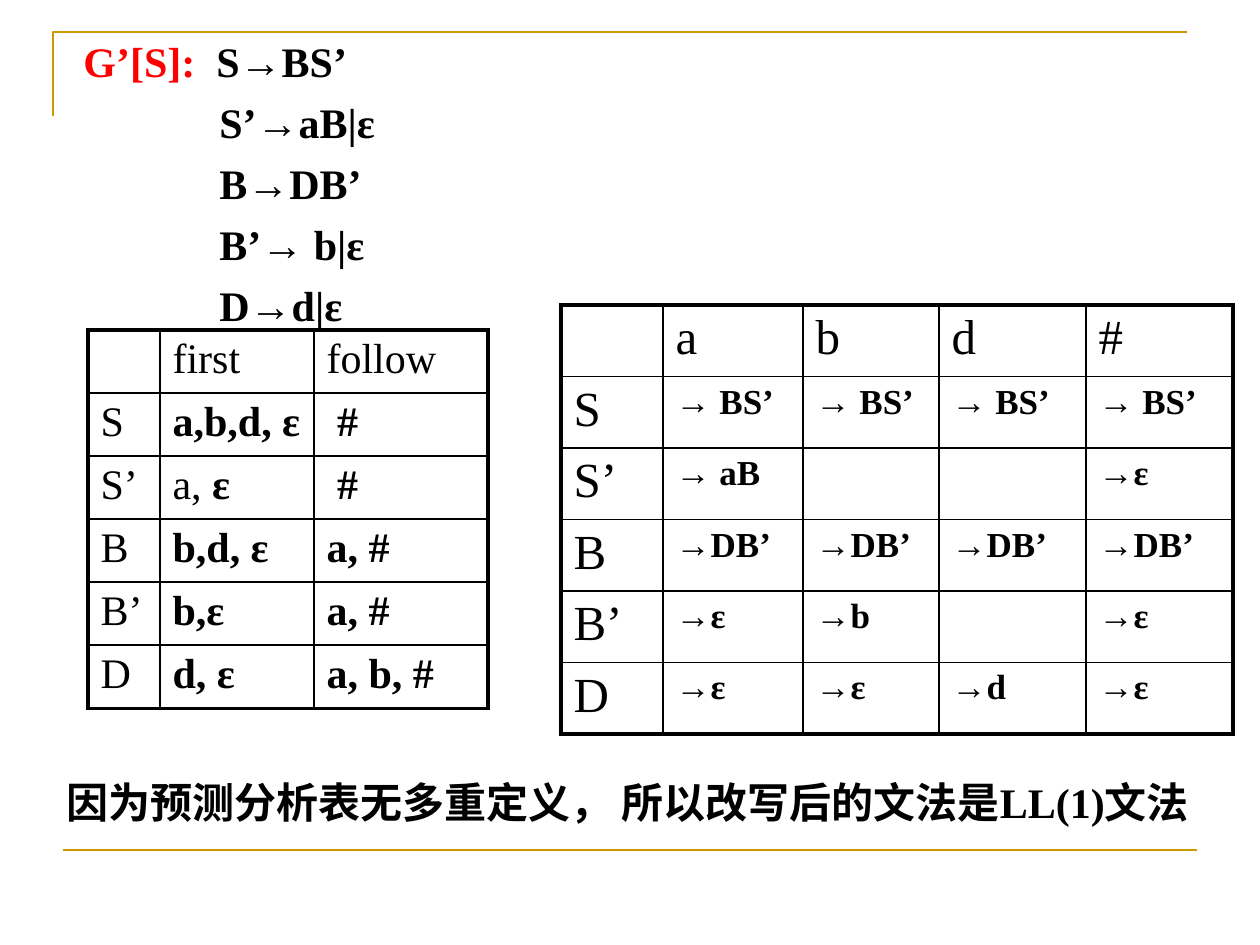
import pptx
import pptx.dml.color
import pptx.enum.shapes
import pptx.enum.text
import pptx.oxml.ns
import pptx.util
from lxml import etree

BLACK = pptx.dml.color.RGBColor(0x00, 0x00, 0x00)
RED = pptx.dml.color.RGBColor(0xFF, 0x00, 0x00)
GOLD = pptx.dml.color.RGBColor(0xCC, 0x99, 0x00)
SERIF = "Times New Roman"
CHINESE = "Noto Sans CJK SC"
ALIGN = pptx.enum.text.PP_ALIGN
qn = pptx.oxml.ns.qn

PLAIN = {"size": 24, "bold": False}
BOLD = {"size": 24, "bold": True}
LARGE = {"size": 28, "bold": False}
SMALL_BOLD = {"size": 20, "bold": True}

GRAMMAR_RULES = ["S’→aB|ε", "B→DB’", "B’→ b|ε", "D→d|ε"]

FIRST_FOLLOW_SETS = [
    ["", "first", "follow"],
    ["S", "a,b,d, ε", " #"],
    ["S’", [("a, ", PLAIN), ("ε", BOLD)], " #"],
    ["B", "b,d, ε", "a, #"],
    ["B’", "b,ε", "a, #"],
    ["D", "d, ε", "a, b, #"],
]

PARSING_TABLE = [
    ["", "a", "b", "d", "#"],
    ["S"] + ["→ BS’"] * 4,
    ["S’", "→ aB", "", "", "→ε"],
    ["B"] + ["→DB’"] * 4,
    ["B’", "→ε", "→b", "", "→ε"],
    ["D", "→ε", "→ε", "→d", "→ε"],
]


class SlideBuilder:
    """Holds the slide and the shared style; lengths are in px, 126 to the inch."""

    scale = 914400 / 126
    frame_width = 2.25
    grid_width = 1
    rule_width = 1.5

    def __init__(self, slide):
        self.slide = slide
        self.shapes = slide.shapes

    def px(self, length):
        return pptx.util.Emu(round(length * self.scale))

    def style_line(self, shape):
        shape.line.color.rgb = GOLD
        shape.line.width = pptx.util.Pt(self.rule_width)

    def corner(self, points):
        builder = self.shapes.build_freeform(*points[0], scale=self.scale)
        builder.add_line_segments(points[1:], close=False)
        shape = builder.convert_to_shape()
        shape.shadow.inherit = False
        shape.fill.background()
        self.style_line(shape)

    def rule(self, left, top, right):
        line = self.shapes.add_connector(
            pptx.enum.shapes.MSO_CONNECTOR.STRAIGHT,
            self.px(left), self.px(top), self.px(right), self.px(top))
        self.style_line(line)
        etree.SubElement(line._element.spPr, qn("a:effectLst"))

    def add_runs(self, para, runs):
        """Add (text, format) runs to a paragraph."""
        for text, style in runs:
            span = para.add_run()
            span.text = text
            values = {"name": SERIF, **style, "size": pptx.util.Pt(style["size"])}
            color = values.pop("color", BLACK)
            for name, value in values.items():
                setattr(span.font, name, value)
            span.font.color.rgb = color
            east_asian = etree.SubElement(span.font._element, qn("a:ea"))
            east_asian.set("typeface", values["name"])

    def text(self, left, top, width, height, paragraphs, align):
        """Add a box of (runs, margin, first-line indent) paragraphs."""
        box = self.shapes.add_textbox(*map(self.px, (left, top, width, height)))
        frame = box.text_frame
        frame.word_wrap = True
        frame.vertical_anchor = pptx.enum.text.MSO_ANCHOR.MIDDLE
        for index, (runs, margin, indent) in enumerate(paragraphs):
            para = frame.add_paragraph() if index else frame.paragraphs[0]
            para.alignment = align
            if index:
                para.space_before = pptx.util.Pt(6)
            properties = para._p.get_or_add_pPr()
            properties.set("marL", str(self.px(margin)))
            properties.set("indent", str(self.px(indent)))
            self.add_runs(para, runs)

    def border(self, cell, edges):
        """Draw the cell's edges; those flagged as outer get the frame width."""
        properties = cell._tc.get_or_add_tcPr()
        for side, outer in edges.items():
            width = self.frame_width if outer else self.grid_width
            line = etree.SubElement(properties, qn("a:ln" + side),
                                    w=str(pptx.util.Pt(width)))
            fill = etree.SubElement(line, qn("a:solidFill"))
            etree.SubElement(fill, qn("a:srgbClr"), val=str(BLACK))

    def table(self, left, top, height, columns, rows, heading, body):
        """Add a table whose first row and column use the heading format."""
        table = self.shapes.add_table(
            len(rows), len(columns), self.px(left), self.px(top),
            self.px(sum(columns)), self.px(height)).table
        table.first_row = table.horz_banding = False
        for column, width in zip(table.columns, columns):
            column.width = self.px(width)
        for row_index, row in enumerate(rows):
            table.rows[row_index].height = self.px(height / len(rows))
            for column_index, content in enumerate(row):
                cell = table.cell(row_index, column_index)
                self.border(cell, {"L": column_index == 0,
                                   "R": column_index == len(columns) - 1,
                                   "T": row_index == 0,
                                   "B": row_index == len(rows) - 1})
                cell.fill.background()
                if isinstance(content, str):
                    inside = row_index and column_index
                    content = [(content, body if inside else heading)]
                if content[0][0]:
                    self.add_runs(cell.text_frame.paragraphs[0], content)


def main():
    deck = pptx.Presentation()
    deck.slide_width = pptx.util.Inches(10)
    deck.slide_height = pptx.util.Inches(7.5)
    page = SlideBuilder(deck.slides.add_slide(deck.slide_layouts[6]))

    page.corner([(53, 116), (53, 32), (1187, 32)])
    page.rule(63, 850, 1197)

    first_rule = [("G’[S]:\t", {**BOLD, "color": RED}), ("S→BS’", BOLD)]
    grammar = [(first_rule, 175, -133)]
    grammar += [([(rule, BOLD)], 178, 0) for rule in GRAMMAR_RULES]
    page.text(29, 29, 493, 307, grammar, ALIGN.JUSTIFY)

    page.table(88, 330, 378, [72, 154, 174], FIRST_FOLLOW_SETS, PLAIN, BOLD)
    page.table(561, 305, 428, [102, 140, 136, 147, 147], PARSING_TABLE,
               LARGE, SMALL_BOLD)

    chinese = {**BOLD, "name": CHINESE}
    conclusion = [("因为预测分析表无多重定义， 所以改写后的文法是", chinese),
                  ("LL(1)", BOLD), ("文法 ", chinese)]
    page.text(29, 770, 1207, 63, [(conclusion, 0, 0)], ALIGN.CENTER)

    deck.save("out.pptx")


if __name__ == "__main__":
    main()
